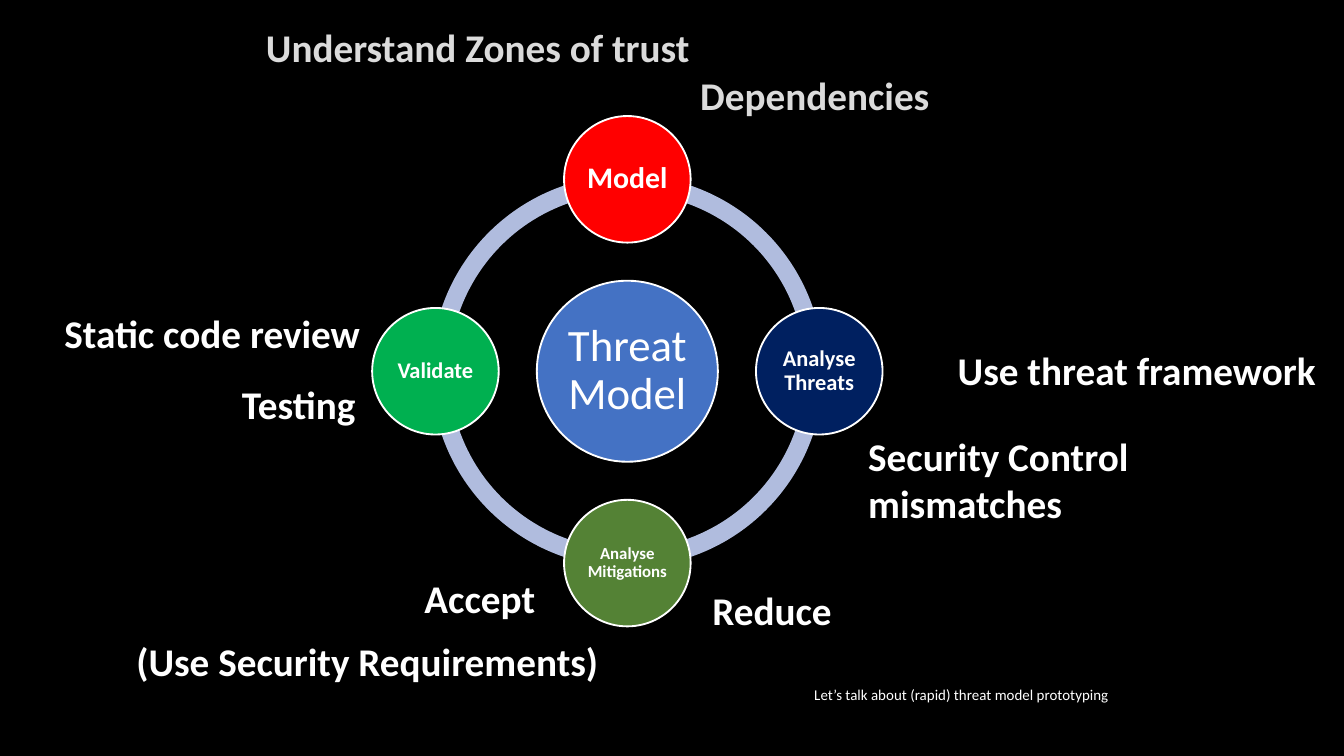
import math
from pptx import Presentation
from pptx import util as u
from pptx.dml.color import RGBColor
from pptx.enum import shapes, text

BLACK = RGBColor(0, 0, 0)
WHITE = RGBColor(255, 255, 255)
SILVER = RGBColor(0xDB, 0xDB, 0xDB)
RING = RGBColor(0xB0, 0xBC, 0xDE)
BLUE = RGBColor(0x44, 0x72, 0xC4)
RED = RGBColor(255, 0, 0)
NAVY = RGBColor(0x00, 0x20, 0x60)
OLIVE = RGBColor(0x54, 0x82, 0x35)
GREEN = RGBColor(0x00, 0xB0, 0x50)

HUB = ("Threat Model", BLUE, 24)
STEPS = [
    ("Model", RED, 16, 2.16),
    ("Analyse Threats", NAVY, 12, 1.5),
    ("Analyse Mitigations", OLIVE, 9, 0.9),
    ("Validate", GREEN, 12, 1.5),
]
LABELS = [
    ("Use threat framework", 506, 182, 213, WHITE),
    ("Security Control mismatches", 458, 228, 262, WHITE),
    ("Accept", 220.3, 304, 74, WHITE),
    ("Reduce", 374.5, 310.5, 79, WHITE),
    ("(Use Security Requirements)", 66, 337.7, 265, WHITE),
    ("Static code review", 27.4, 162, 175, WHITE),
    ("Testing", 122.5, 200, 76, WHITE),
    ("Understand Zones of trust", 135.4, 8.7, 244, SILVER),
    ("Dependencies", 368, 34.6, 140, SILVER),
]
FOOTER = "Let’s talk about (rapid) threat model prototyping"

CX, CY = 336.1, 198.9
ORBIT, RING_SIZE, HUB_SIZE, STEP_SIZE = 102.8, 210.2, 97, 67.8
QUARTER = 54


def write(sp, content, size, color=WHITE, bold=True, inset=None, **para):
    tf = sp.text_frame
    if inset is not None:
        for side in ("left", "right", "top", "bottom"):
            setattr(tf, "margin_" + side, u.Pt(inset))
    p = tf.paragraphs[0]
    for name, value in para.items():
        setattr(p, name, value)
    r = p.add_run()
    r.text = content
    for name, value in dict(name="Calibri", size=u.Pt(size), bold=bold).items():
        setattr(r.font, name, value)
    r.font.color.rgb = color
    return tf


def add_round(s, kind, cx, cy, size, fill):
    sp = s.shapes.add_shape(kind, u.Pt(cx - size / 2), u.Pt(cy - size / 2),
                            u.Pt(size), u.Pt(size))
    sp.shadow.inherit = False
    sp.fill.solid()
    sp.fill.fore_color.rgb = fill
    sp.line.fill.background()
    return sp


def add_circle(s, cx, cy, size, content, fill, font_size, inset, bold=True):
    sp = add_round(s, shapes.MSO_SHAPE.OVAL, cx, cy, size, fill)
    sp.line.color.rgb = WHITE
    sp.line.width = u.Pt(1)
    tf = write(sp, content, font_size, bold=bold, inset=inset,
               alignment=text.PP_ALIGN.CENTER, line_spacing=0.9)
    tf.word_wrap = True
    tf.vertical_anchor = text.MSO_ANCHOR.MIDDLE


def add_box(s, x, y, w, h):
    return s.shapes.add_textbox(u.Pt(x), u.Pt(y), u.Pt(w), u.Pt(h))


prs = Presentation()
prs.slide_width, prs.slide_height = u.Pt(720), u.Pt(405)
s = prs.slides.add_slide(prs.slide_layouts[6])
s.background.fill.solid()
s.background.fill.fore_color.rgb = BLACK

tf = write(add_box(s, 337.7, 355, 263.5, 34.6), FOOTER, 8, bold=False,
           alignment=text.PP_ALIGN.RIGHT, line_spacing=u.Pt(9))
tf.word_wrap = True
tf.vertical_anchor = text.MSO_ANCHOR.MIDDLE

for i in range(4):
    arc = add_round(s, shapes.MSO_SHAPE.BLOCK_ARC, CX, CY, RING_SIZE, RING)
    adjust = (i * QUARTER, (i + 1) % 4 * QUARTER, 0.046)
    for n, value in enumerate(adjust):
        arc.adjustments[n] = value

add_circle(s, CX, CY, HUB_SIZE, *HUB, inset=2.16, bold=False)
for i, step in enumerate(STEPS):
    angle = math.radians(90 * i - 90)
    add_circle(s, CX + ORBIT * math.cos(angle), CY + ORBIT * math.sin(angle),
               STEP_SIZE, *step)

for content, x, y, w, color in LABELS:
    tf = write(add_box(s, x, y, w, 32.5), content, 21, color)
    tf.word_wrap = False
    tf.auto_size = text.MSO_AUTO_SIZE.SHAPE_TO_FIT_TEXT

prs.save("out.pptx")
